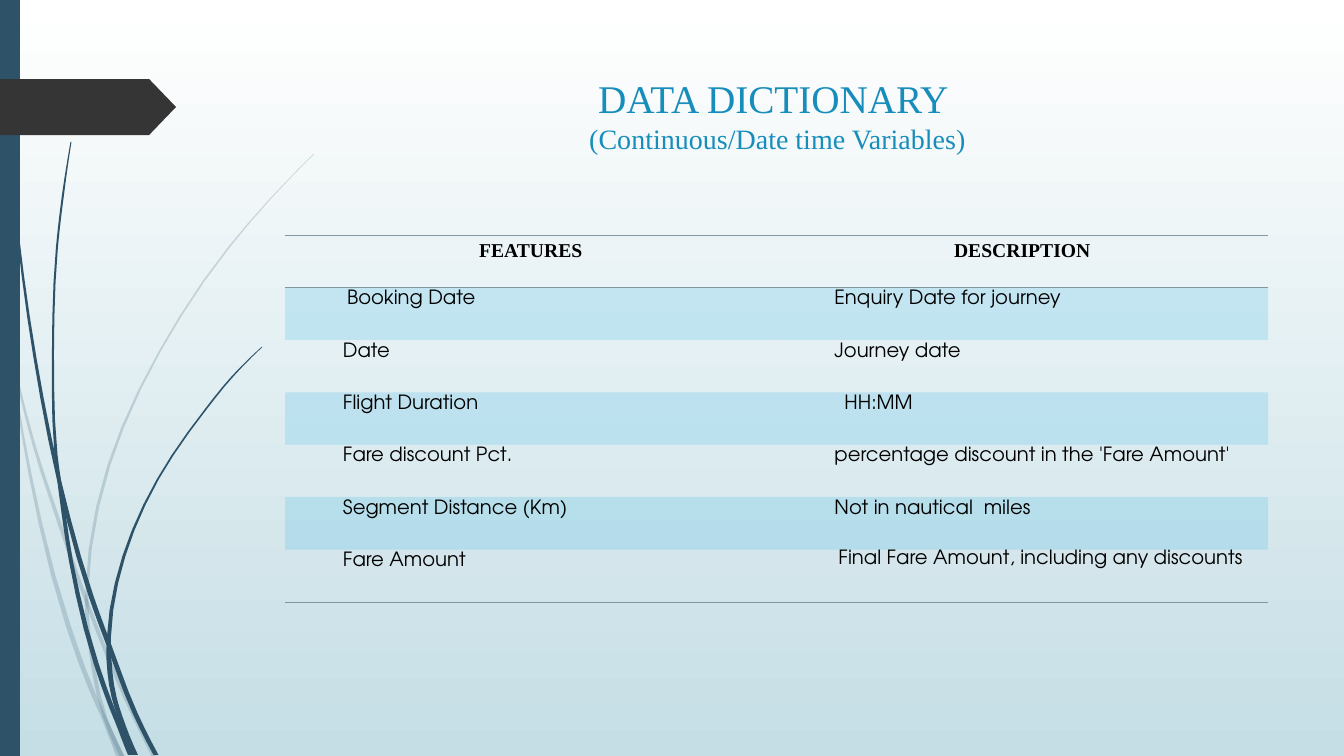
from pptx import Presentation
from pptx.dml.color import RGBColor
from pptx.enum.shapes import MSO_SHAPE
from pptx.enum.text import MSO_ANCHOR, MSO_AUTO_SIZE, PP_ALIGN
from pptx.oxml import parse_xml
from pptx.oxml.ns import nsdecls, qn
from pptx.util import Pt

RECT, ARROW_TAG = MSO_SHAPE.RECTANGLE, MSO_SHAPE.PENTAGON
CENTER, LEFT = PP_ALIGN.CENTER, PP_ALIGN.LEFT
TOP, NO_FIT = MSO_ANCHOR.TOP, MSO_AUTO_SIZE.NONE
PX = 12192000 / 1344
NO_STYLE = "{2D5ABB26-0587-4C30-8999-92F81FD0307C}"
SERIF, SANS = "Times New Roman", "TeX Gyre Adventor"

COLORS = {
    "sky_top": "FFFFFF", "sky_bottom": "C5DEE5", "stem": "2E5369",
    "tag": "353535", "title": "178DBB", "ink": "000000", "band": "31B4E6",
    "rule": "83979E",
}

# Each stem: y of its joints, then its knots (centre x, y, width) downwards
PALE_STEMS = [
    ([350, 600], [(0, 286, 1), (11, 350, 2), (34, 445, 3), (60, 525, 4),
                  (86, 600, 4), (126, 699, 4), (154, 756, 5)]),
    ([718], [(11, 353, 1), (30, 474, 3), (68, 625, 5), (92, 691, 5),
             (104, 718, 5), (120, 756, 8)]),
    ([591, 615, 717],
     [(314, 154, 1), (292, 176, 1), (230, 246, 2), (160, 351, 2),
      (109, 465, 3), (87, 591, 3), (87, 615, 4), (91, 651, 4), (105, 717, 4),
      (122, 756, 5)]),
]
DARK_STEMS = [
    ([480, 648], [(4, 0, 1), (8, 111, 1), (18, 235, 2), (35, 358, 3),
                  (59, 480, 4), (91, 596, 5), (110, 648, 5), (135, 713, 5),
                  (156, 755, 5)]),
    ([454, 494, 728],
     [(71, 142, 1), (63, 195, 2), (57, 247, 2), (53, 352, 2), (56, 454, 3),
      (61, 494, 4), (71, 561, 4), (96, 663, 5), (120, 728, 5), (132, 755, 8)]),
    ([637, 660, 725],
     [(262, 347, 1), (233, 376, 2), (206, 409, 2), (158, 479, 2),
      (124, 556, 3), (109, 637, 4), (109, 660, 5), (114, 697, 5),
      (123, 725, 5), (136, 755, 4)]),
]

HEADERS = ["FEATURES", "DESCRIPTION"]
# Each cell: text, left indent in px, line spacing
ROWS = [
    [("Booking Date", 54, 1.15), ("Enquiry Date for journey", 50, 1.15)],
    [("Date", 50, 1.15), ("Journey date", 50, 1.15)],
    [("Flight Duration", 50, 1.15), ("HH:MM", 60, 1.15)],
    [("Fare discount Pct.", 50, 1.15),
     ("percentage discount in the 'Fare Amount'", 50, 1.15)],
    [("Segment Distance (Km)", 50, 1.15), ("Not in nautical  miles", 50, 1.15)],
    [("Fare Amount", 50, 1.15),
     ("Final Fare Amount, including any discounts", 54, 1)],
]


def px(n):
    return round(n * PX)


def rgb(name):
    return RGBColor.from_string(COLORS[name])


def set_alpha(element, percent):
    clr = next(element.iter(qn("a:srgbClr")))
    clr.append(parse_xml(f'<a:alpha {nsdecls("a")} val="{percent * 1000}"/>'))


def paint(sp, color):
    sp.shadow.inherit = False
    sp.fill.solid()
    sp.fill.fore_color.rgb = rgb(color)
    sp.line.fill.background()


def add_run(p, text, color, **font):
    r = p.add_run()
    r.text = text
    r.font.color.rgb = rgb(color)
    for name, value in font.items():
        setattr(r.font, name, value)


def add_block(slide, kind, box, color):
    sp = slide.shapes.add_shape(kind, *map(px, box))
    paint(sp, color)
    return sp


def smooth(knots, steps=3):
    """Sample a cubic curve in y through the knots."""
    spans = list(zip(knots, knots[1:]))
    heights = [b[1] - a[1] for a, b in spans]
    leans = [(b[0] - a[0]) / h for (a, b), h in zip(spans, heights)]
    slopes = [(leans[i] * heights[i + 1] + leans[i + 1] * heights[i])
              / (heights[i] + heights[i + 1]) for i in range(len(spans) - 1)]
    slopes = [2 * leans[0] - slopes[0], *slopes, 2 * leans[-1] - slopes[-1]]
    points = [knots[0]]
    for i, ((x0, y0, w0), (x1, y1, w1)) in enumerate(spans):
        h = heights[i]
        for step in range(1, steps + 1):
            t = step / steps
            ease = t * t * (3 - 2 * t)
            x = (x0 + (x1 - x0) * ease + h * t * (1 - t) ** 2 * slopes[i]
                 - h * t * t * (1 - t) * slopes[i + 1])
            points.append((x, y0 + h * t, w0 + (w1 - w0) * t))
    return points


def add_stem(slide, joints, knots, alpha=None):
    points = smooth(knots)
    ends = [knots[0][1], *joints, knots[-1][1]]
    for start, end in zip(ends, ends[1:]):
        piece = [pt for pt in points if start <= pt[1] <= end]
        left = [(px(x - w / 2), px(y)) for x, y, w in piece]
        right = [(px(x + w / 2), px(y)) for x, y, w in piece]
        outline = left + right[::-1]
        builder = slide.shapes.build_freeform(*outline[0])
        builder.add_line_segments(outline[1:], close=True)
        sp = builder.convert_to_shape()
        paint(sp, "stem")
        if alpha:
            set_alpha(sp.element.spPr, alpha)


def add_title(slide):
    sp = slide.shapes.title
    box = {"left": 286, "top": 69, "width": 983, "height": 141}
    for name, value in box.items():
        setattr(sp, name, px(value))
    tf = sp.text_frame
    tf.auto_size, tf.vertical_anchor, tf.word_wrap = NO_FIT, TOP, True
    lines = [("DATA DICTIONARY ", 28), ("(Continuous/Date time Variables)", 20)]
    for i, (text, size) in enumerate(lines):
        p = tf.add_paragraph() if i else tf.paragraphs[0]
        p.alignment = CENTER
        add_run(p, text, "title", size=Pt(size), name=SERIF)


def add_border(cell, side):
    cell._tc.get_or_add_tcPr().insert(0, parse_xml(
        f'<a:{side} {nsdecls("a")} w="6350"><a:solidFill>'
        f'<a:srgbClr val="{COLORS["rule"]}"/></a:solidFill></a:{side}>'))


def fill_header(cell, text):
    p = cell.text_frame.paragraphs[0]
    p.alignment = CENTER
    add_run(p, text, "ink", size=Pt(14), name=SERIF, bold=True)
    cell.fill.background()
    for side in ("lnB", "lnT"):
        add_border(cell, side)


def fill_cell(cell, text, indent, spacing, banded):
    margins = {"left": 8, "right": 7, "top": 0, "bottom": 0}
    for side, value in margins.items():
        setattr(cell, f"margin_{side}", px(value))
    p = cell.text_frame.paragraphs[0]
    p.alignment, p.line_spacing = LEFT, spacing
    p._p.get_or_add_pPr().set("marL", str(px(indent)))
    add_run(p, text, "ink", size=Pt(14), name=SANS)
    if banded:
        cell.fill.solid()
        cell.fill.fore_color.rgb = rgb("band")
        set_alpha(cell._tc.tcPr, 20)
    else:
        cell.fill.background()


def add_dictionary(slide):
    frame = slide.shapes.add_table(len(ROWS) + 1, len(HEADERS),
                                   *map(px, (285, 235, 983, 367)))
    next(frame.element.iter(qn("a:tableStyleId"))).text = NO_STYLE
    table = frame.table
    table.horz_banding = False
    for col, text in enumerate(HEADERS):
        fill_header(table.cell(0, col), text)
    for row, cells in enumerate(ROWS, 1):
        for col, content in enumerate(cells):
            fill_cell(table.cell(row, col), *content, banded=row % 2 == 1)
    for cell in table.rows[len(ROWS)].cells:
        add_border(cell, "lnB")


def set_background(slide):
    fill = slide.background.fill
    fill.gradient()
    fill.gradient_angle = 270
    for stop, color in zip(fill.gradient_stops, ("sky_top", "sky_bottom")):
        stop.color.rgb = rgb(color)


def main():
    prs = Presentation()
    prs.slide_width, prs.slide_height = px(1344), px(756)
    slide = prs.slides.add_slide(prs.slide_layouts[5])
    set_background(slide)

    # Decoration on the left
    for stems, alpha in ((PALE_STEMS, 20), (DARK_STEMS, None)):
        for joints, knots in stems:
            add_stem(slide, joints, knots, alpha)
    add_block(slide, RECT, (0, 0, 20, 756), "stem")
    tag = add_block(slide, ARROW_TAG, (0, 79, 176, 56), "tag")
    tag.adjustments[0] = 0.48

    # Content
    add_title(slide)
    add_dictionary(slide)
    prs.save("out.pptx")


if __name__ == "__main__":
    main()
